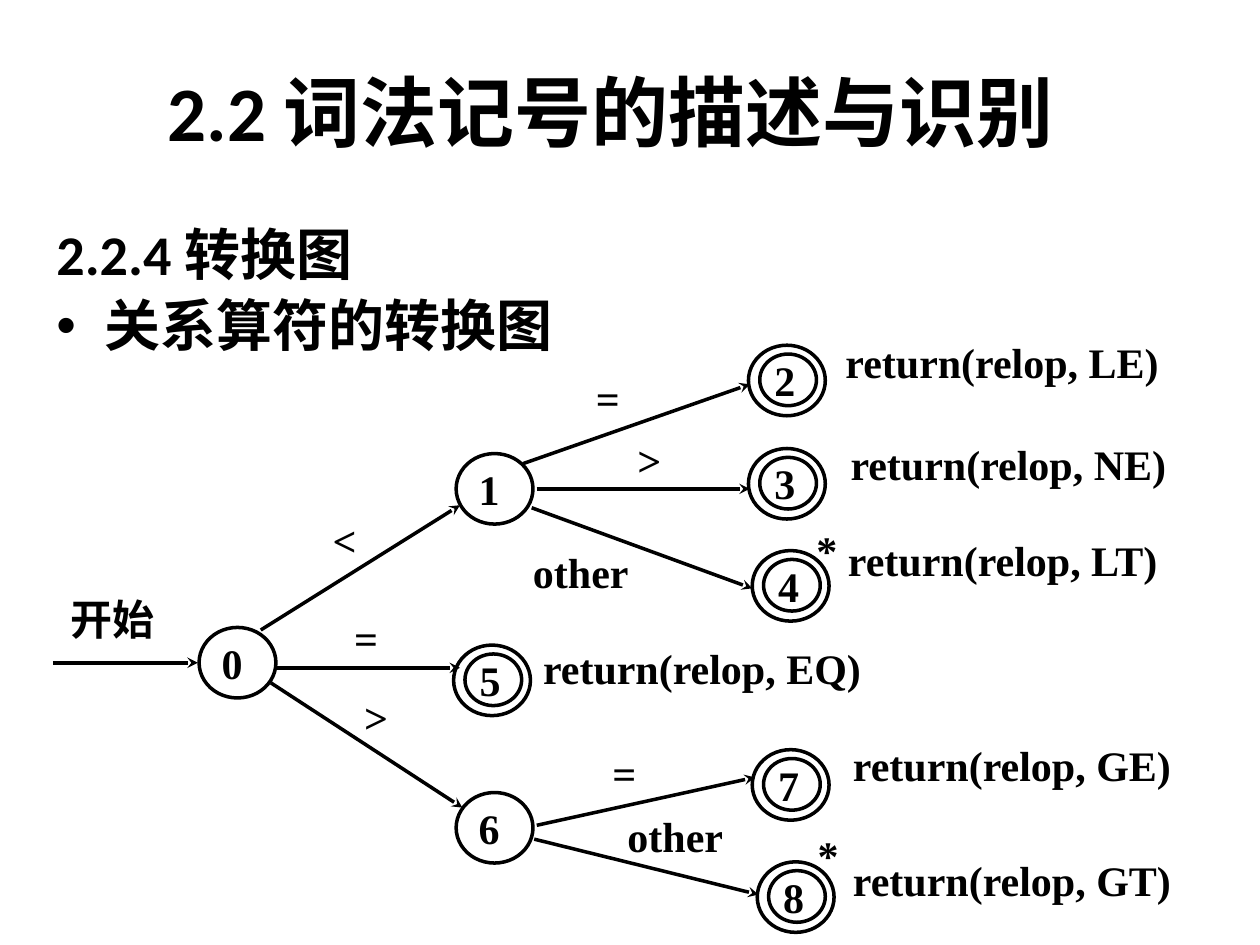
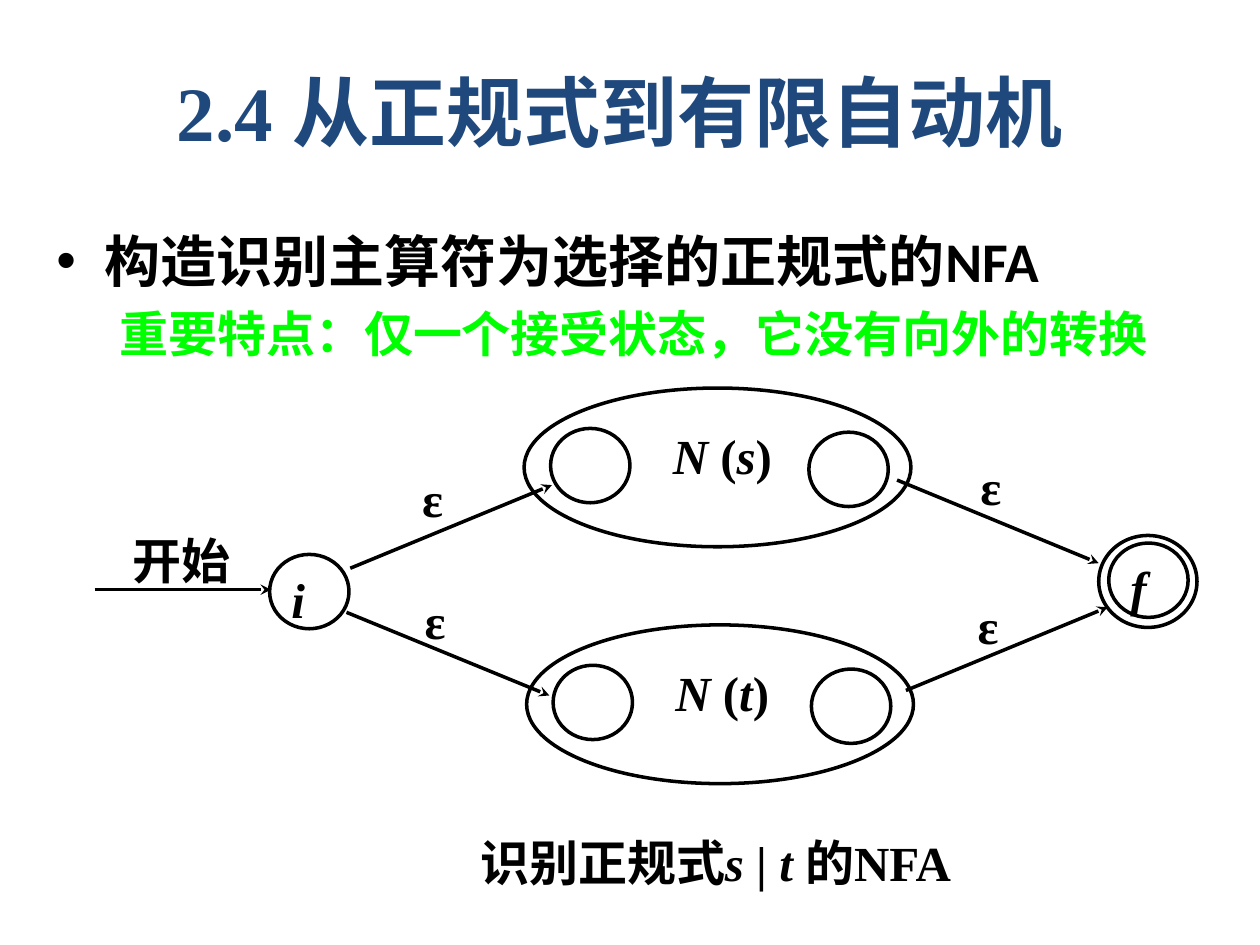
import pptx
import pptx.util
import pptx.dml.color
import pptx.enum.shapes
import pptx.enum.text
import pptx.oxml.ns
from lxml import etree

Inches, Pt = pptx.util.Inches, pptx.util.Pt
RGBColor = pptx.dml.color.RGBColor
ANCHOR = pptx.enum.text.MSO_ANCHOR
ALIGN = pptx.enum.text.PP_ALIGN

BLACK = RGBColor(0x00, 0x00, 0x00)
NAVY = RGBColor(0x1F, 0x49, 0x7D)
GREEN = RGBColor(0x00, 0xFF, 0x00)
SANS, SERIF, CJK = "Calibri", "Times New Roman", "Noto Sans CJK SC"

TITLE_BOX = (0.67, 0.25, 8.5, 1.25)
BODY_LEFT, BODY_TOP, BODY_WIDTH = 0.35, 1.75, 9.37

# Transition diagram: state -> (left, top) of its outer circle
STATE_SIZE, ACCEPT_SIZE, ACCEPT_SHIFT = (0.61, 0.56), (0.45, 0.41), (0.09, 0.07)
PLAIN_STATES = {"0": (1.58, 4.98), "1": (3.62, 3.6), "6": (3.62, 6.29)}
ACCEPT_STATES = {
    "5": (3.6, 5.12), "2": (5.94, 2.74), "4": (5.97, 4.37),
    "8": (6.01, 6.84), "3": (5.94, 3.56), "7": (5.97, 5.95),
}
# Arrows: x1, y1, x2, y2
RELOP_ARROWS = [
    (0.42, 5.26, 1.57, 5.26), (2.07, 5, 3.65, 4.01), (4.15, 3.68, 5.95, 3.05),
    (4.26, 3.88, 5.95, 3.88), (4.22, 4.03, 5.97, 4.67), (2.2, 5.3, 3.65, 5.3),
    (2.15, 5.42, 3.67, 6.41), (4.24, 6.66, 6.02, 7.1), (4.26, 6.55, 5.99, 6.17),
]
# Labels: text, left, top, width, height
RETURNS = [
    ("LE", 6.65, 2.67), ("NE", 6.69, 3.48), ("LT", 6.67, 4.24),
    ("GE", 6.71, 5.87), ("GT", 6.71, 6.78), ("EQ", 4.25, 5.1),
]
RELOP_LABELS = [(f"return(relop, {op})", x, y, 2.85, 0.52) for op, x, y in RETURNS] + [
    ("开始", 0.5, 4.71, 1, 0.47),
    ("<", 2.58, 4.08, 0.33, 0.31), ("=", 4.67, 2.96, 0.41, 0.34),
    (">", 5, 3.45, 0.33, 0.39), ("=", 2.75, 4.86, 0.61, 0.38),
    (">", 2.83, 5.49, 0.51, 0.35), ("=", 4.8, 5.93, 0.45, 0.35),
    ("*", 6.43, 6.58, 0.24, 0.25), ("*", 6.42, 4.16, 0.25, 0.24),
    ("other", 4.92, 6.43, 1.11, 0.39), ("other", 4.17, 4.34, 1, 0.33),
]

# NFA diagram; text between underscores is italic
NFA_STATE = (0.63, 0.59)
SUB_NFAS = [("_N _(_s_)", 4.16, 3.08), ("_N _(_t_)", 4.18, 4.96)]
NFA_ARROWS = [
    (0.75, 4.68, 2.15, 4.68), (2.78, 4.51, 4.38, 3.85), (2.75, 4.86, 4.36, 5.52),
    (7.19, 5.48, 8.79, 4.82), (7.12, 3.81, 8.72, 4.47),
]
NFA_LABELS = [("开始", 0.99, 4.18, 1.02, 0.56)] + [
    ("ε", x, y, 0.51, 0.47)
    for x, y in [(3.29, 3.69), (3.31, 4.66), (7.72, 3.59), (7.7, 4.7)]
]
NFA_CAPTION = ("识别正规式_s _| _t _的NFA", 3.33, 6.58, 4.7, 0.49)


def style(p, size, font, color=BLACK):
    f = p.font
    f.size, f.bold, f.name = Pt(size), True, font
    f.color.rgb = color
    for r in p.runs:
        props = r._r.get_or_add_rPr()
        etree.SubElement(props, pptx.oxml.ns.qn("a:ea"), typeface=CJK)


def write(sp, text, size, insets, anchor=ANCHOR.TOP, align=ALIGN.LEFT):
    """Fill a shape with one serif line; odd parts between underscores are italic."""
    tf = sp.text_frame
    tf.word_wrap = True
    tf.vertical_anchor = anchor
    tf.margin_left, tf.margin_top, tf.margin_right, tf.margin_bottom = map(Inches, insets)
    p = tf.paragraphs[0]
    p.alignment = align
    for i, part in enumerate(text.split("_")):
        if part:
            r = p.add_run()
            r.text = part
            if i % 2:
                r.font.italic = True
    style(p, size, SERIF)


def add_label(slide, label, size, insets, align=ALIGN.LEFT):
    text, *box = label
    write(slide.shapes.add_textbox(*map(Inches, box)), text, size, insets, align=align)


def add_ellipse(slide, x, y, size):
    oval = pptx.enum.shapes.MSO_SHAPE.OVAL
    sp = slide.shapes.add_shape(oval, *map(Inches, (x, y, *size)))
    sp.shadow.inherit = False
    sp.fill.background()
    sp.line.color.rgb = BLACK
    sp.line.width = Pt(2)
    return sp


def add_arrows(slide, arrows):
    straight = pptx.enum.shapes.MSO_CONNECTOR.STRAIGHT
    for ends in arrows:
        c = slide.shapes.add_connector(straight, *map(Inches, ends))
        c.line.color.rgb = BLACK
        c.line.width = Pt(2)
        qn = pptx.oxml.ns.qn
        etree.SubElement(c.line._get_or_add_ln(), qn("a:tailEnd"), type="stealth")
        etree.SubElement(c._element.spPr, qn("a:effectLst"))


def add_slide(prs, title, font, color):
    slide = prs.slides.add_slide(prs.slide_layouts[5])
    sp = slide.shapes.title
    sp.left, sp.top, sp.width, sp.height = map(Inches, TITLE_BOX)
    sp.text_frame.text = title
    sp.text_frame.vertical_anchor = ANCHOR.MIDDLE
    p = sp.text_frame.paragraphs[0]
    p.alignment = ALIGN.CENTER
    style(p, 44, font, color)
    return slide


def add_body(slide, height, lines, spacing=1.0):
    """Lines are (runs, size, font, colour, left margin, hanging indent, bulleted)."""
    box = map(Inches, (BODY_LEFT, BODY_TOP, BODY_WIDTH, height))
    tf = slide.shapes.add_textbox(*box).text_frame
    tf.word_wrap = True
    for i, (runs, size, font, color, margin, hang, bulleted) in enumerate(lines):
        p = tf.add_paragraph() if i else tf.paragraphs[0]
        p.line_spacing = spacing
        p.space_before = Pt(0.2 * size)
        props = p._p.get_or_add_pPr()
        props.set("marL", str(Inches(margin)))
        props.set("indent", str(-Inches(hang)))
        if bulleted:
            qn = pptx.oxml.ns.qn
            etree.SubElement(props, qn("a:buFont"), typeface="Arial")
            etree.SubElement(props, qn("a:buChar"), char="•")
        for text, run_font in runs:
            r = p.add_run()
            r.text = text
            if run_font:
                r.font.name = run_font
        style(p, size, font, color)


def build_relop_slide(prs):
    slide = add_slide(prs, "2.2 词法记号的描述与识别 ", SANS, BLACK)
    add_body(slide, 1.29, [
        ([("2.2.4 转换图", None)], 32, SANS, BLACK, 0.38, 0.38, False),
        ([("关系算符的转换图", None)], 32, SANS, BLACK, 0.38, 0.38, True),
    ], spacing=0.9)
    for name, (x, y) in PLAIN_STATES.items():
        write(add_ellipse(slide, x, y, STATE_SIZE), name, 24, (0.09, 0, 0.1, 0.05))
    dx, dy = ACCEPT_SHIFT
    for name, (x, y) in ACCEPT_STATES.items():
        add_ellipse(slide, x, y, STATE_SIZE)
        inner = add_ellipse(slide, x + dx, y + dy, ACCEPT_SIZE)
        write(inner, name, 24, (0.05, 0, 0.07, 0), ANCHOR.MIDDLE)
    add_arrows(slide, RELOP_ARROWS)
    for label in RELOP_LABELS:
        add_label(slide, label, 24, (0.06, 0, 0.06, 0.03))


def build_nfa_slide(prs):
    slide = add_slide(prs, "2.4 从正规式到有限自动机", SERIF, NAVY)
    add_body(slide, 5.31, [
        ([("构造识别主算符为选择的正规式的", None), ("NFA", SANS)],
         32, CJK, BLACK, 0.38, 0.38, True),
        ([("重要特点：仅一个接受状态，它没有向外的转换", None)],
         28, CJK, GREEN, 0.81, 0.31, False),
    ])
    add_ellipse(slide, 8.72, 4.25, (0.78, 0.73))
    for name, x, y in [("_f_", 8.8, 4.31), ("_i_", 2.14, 4.4)]:
        write(add_ellipse(slide, x, y, NFA_STATE), name, 28, (0.08, 0.03, 0.02, 0.02))
    for name, x, y in SUB_NFAS:
        add_ellipse(slide, x, y, (3.07, 1.26))
        add_ellipse(slide, x + 0.21, y + 0.32, NFA_STATE)
        add_ellipse(slide, x + 2.26, y + 0.35, NFA_STATE)
        add_label(slide, (name, x + 1.09, y + 0.27, 1.07, 0.7), 28, (0.09, 0.03, 0.1, 0.05))
    add_arrows(slide, NFA_ARROWS)
    insets = (0.06, 0.03, 0.06, 0.03)
    for label in NFA_LABELS:
        add_label(slide, label, 28, insets)
    add_label(slide, NFA_CAPTION, 28, insets, ALIGN.CENTER)


def main():
    prs = pptx.Presentation()
    prs.slide_width, prs.slide_height = Inches(10), Inches(7.5)
    build_relop_slide(prs)
    build_nfa_slide(prs)
    prs.save("out.pptx")


if __name__ == "__main__":
    main()
